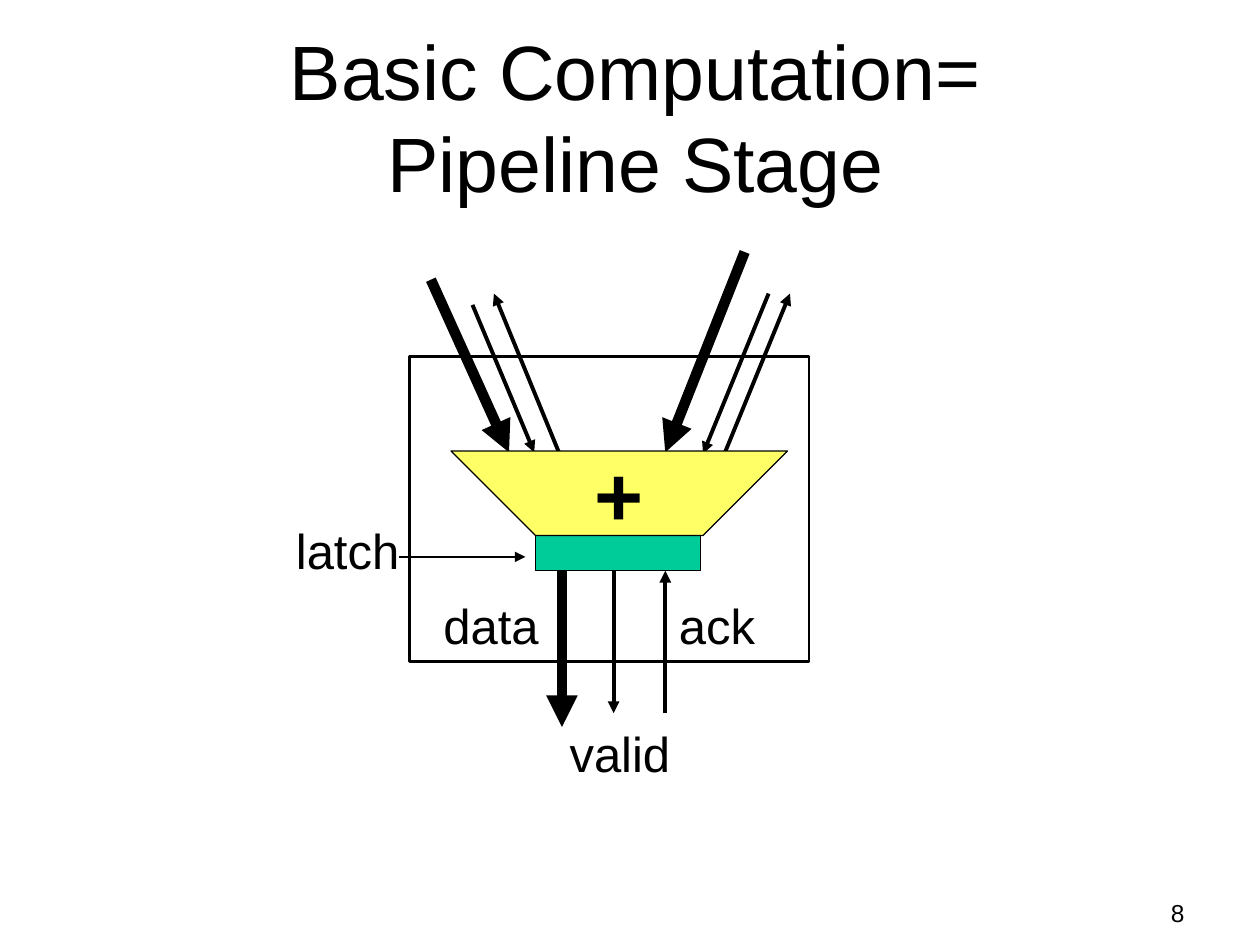
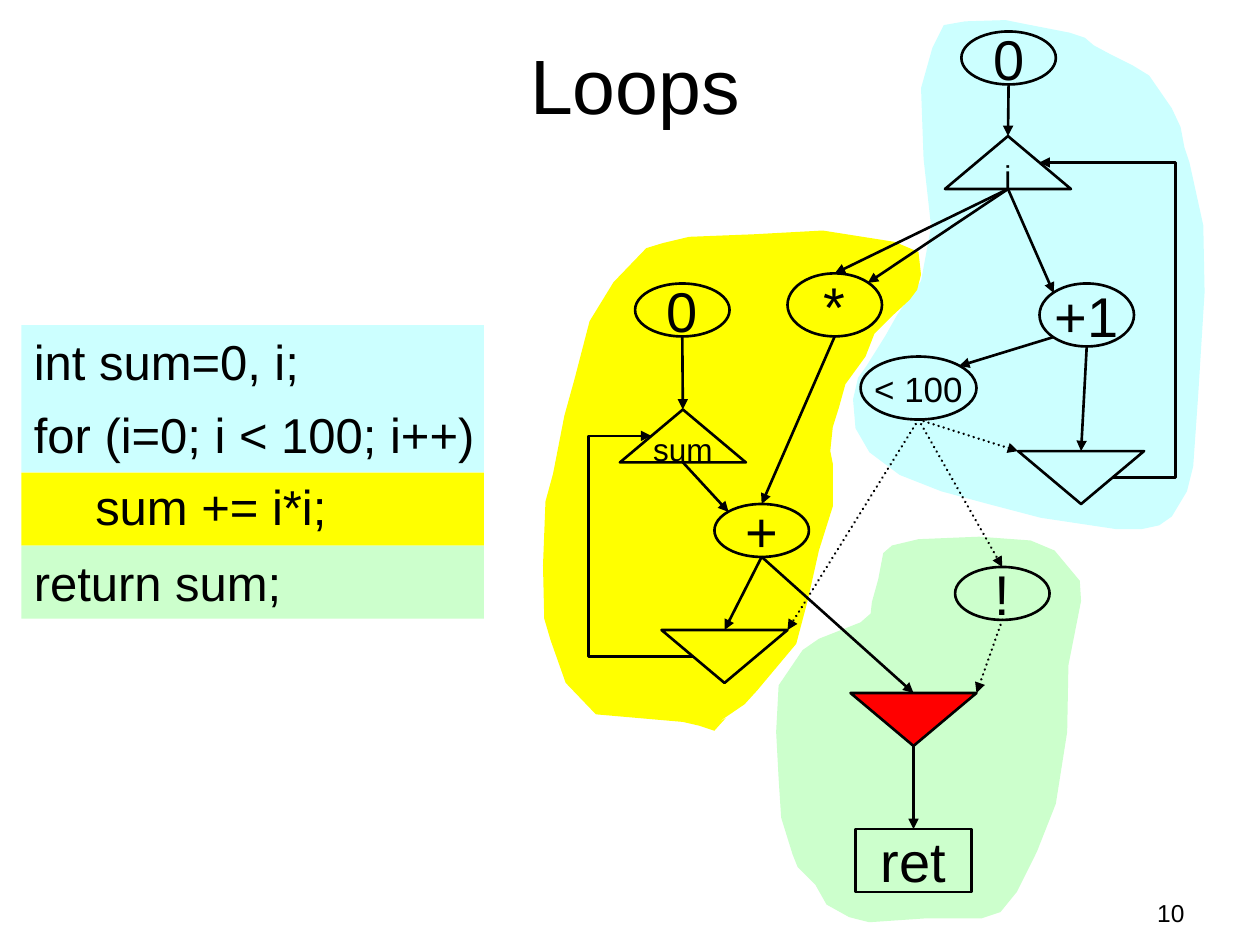
from lxml.etree import SubElement
from pptx import Presentation
from pptx.dml.color import RGBColor
from pptx.enum.dml import MSO_LINE
from pptx.enum.shapes import MSO_CONNECTOR, MSO_SHAPE
from pptx.enum.text import MSO_ANCHOR, MSO_AUTO_SIZE, PP_ALIGN
from pptx.oxml.ns import qn
from pptx.util import Emu, Pt

# Shared look: 100 px to the inch
EMU_PER_PX = 9144
FONT = "Arial"
BLACK, RED = "000000", "FF0000"
CYAN, YELLOW, GREEN = "CCFFFF", "FFFF00", "CCFFCC"
ADDER_YELLOW, LATCH_GREEN = "FFFF66", "00CC99"
LEFT, CENTER, RIGHT = PP_ALIGN.LEFT, PP_ALIGN.CENTER, PP_ALIGN.RIGHT

# Places on a node's frame where an arrow may attach, as fractions
PORTS = {
    "top": (0.5, 0), "bottom": (0.5, 1),
    "upper left": (0.15, 0.15), "upper right": (0.85, 0.15),
    "lower left": (0.15, 0.85),
    "left slope": (0.25, 0.5), "right slope": (0.75, 0.5),
    "left corner": (0, 0), "right corner": (1, 0),
}

# Outlines of the three regions of the loop graph
INDEX_REGION = [
    (749, 20), (740, 38), (731, 70), (733, 126), (739, 180), (731, 223),
    (712, 250), (703, 266), (688, 290), (681, 300), (677, 317), (679, 340),
    (690, 359), (714, 377), (747, 390), (784, 400), (826, 411), (886, 420),
    (906, 420), (920, 417), (930, 410), (942, 390), (947, 370), (951, 313),
    (956, 232), (955, 179), (944, 129), (940, 117), (937, 101), (930, 86),
    (912, 60), (899, 52), (881, 43), (868, 36), (861, 30), (849, 26),
    (813, 19), (798, 16), (766, 17),
]
SUM_REGION = [
    (569, 574), (591, 559), (601, 548), (632, 511), (641, 477), (650, 437),
    (661, 402), (661, 368), (659, 358), (661, 339), (666, 323), (671, 305),
    (687, 283), (694, 265), (709, 250), (722, 238), (728, 230), (731, 218),
    (729, 200), (710, 192), (653, 183), (598, 186), (547, 188), (526, 193),
    (513, 197), (487, 224), (468, 255), (456, 301), (448, 330), (439, 376),
    (433, 398), (431, 449), (432, 491), (437, 508), (449, 542), (473, 567),
    (542, 573), (555, 576), (567, 580), (576, 570),
]
RETURN_REGION = [
    (818, 429), (777, 426), (729, 428), (708, 433), (701, 439), (697, 460),
    (692, 478), (691, 487), (683, 494), (650, 507), (637, 516), (618, 544),
    (616, 581), (618, 618), (620, 649), (629, 678), (633, 688), (647, 702),
    (656, 718), (674, 728), (690, 732), (734, 729), (779, 729), (794, 724),
    (807, 708), (816, 690), (823, 676), (838, 638), (847, 581), (848, 528),
    (858, 477), (857, 461), (837, 437),
]

# Graph nodes: kind, frame, fill, text, text size
OVAL, TRIANGLE, BOX = MSO_SHAPE.OVAL, MSO_SHAPE.ISOSCELES_TRIANGLE, MSO_SHAPE.RECTANGLE
INVERTED = "inverted triangle"
NODES = {
    "i start": (OVAL, (763, 25, 75, 42), CYAN, "0", 32),
    "i": (TRIANGLE, (750, 108, 100, 42), CYAN, "i", 18),
    "increment": (OVAL, (825, 225, 75, 50), CYAN, "+1", 32),
    "test": (OVAL, (683, 283, 92, 50), CYAN, "< 100", 20),
    "i again": (INVERTED, (808, 358, 100, 42), CYAN, "", 0),
    "square": (OVAL, (625, 217, 75, 50), None, "*", 32),
    "sum start": (OVAL, (504, 225, 75, 42), None, "0", 32),
    "sum": (TRIANGLE, (492, 325, 100, 42), None, "sum", 18),
    "add": (OVAL, (567, 400, 75, 42), None, "+", 32),
    "sum again": (INVERTED, (525, 500, 100, 42), None, "", 0),
    "not": (OVAL, (758, 450, 75, 42), None, "!", 32),
    "exit": (INVERTED, (675, 550, 100, 42), RED, "", 0),
    "ret": (BOX, (679, 658, 92, 50), None, "ret", 32),
}
DATA_EDGES = [
    ("i start", "bottom", "i", "top"),
    ("i", "bottom", "increment", "upper left"),
    ("i", "bottom", "square", "upper right"),
    ("i", "bottom", "square", "top"),
    ("increment", "bottom", "i again", "top"),
    ("increment", "lower left", "test", "upper right"),
    ("square", "bottom", "add", "top"),
    ("sum start", "bottom", "sum", "top"),
    ("sum", "bottom", "add", "upper left"),
    ("add", "bottom", "sum again", "top"),
    ("add", "bottom", "exit", "top"),
    ("exit", "bottom", "ret", "top"),
]
CONTROL_EDGES = [
    ("test", "bottom", "i again", "left corner"),
    ("test", "bottom", "sum again", "right corner"),
    ("test", "bottom", "not", "top"),
    ("not", "bottom", "exit", "right corner"),
]
BACK_EDGES = [  # the last value is the x of the upright run
    ("i again", "right slope", "i", "right slope", 933),
    ("sum again", "left slope", "sum", "left slope", 467),
]


def px(length):
    return Emu(round(length * EMU_PER_PX))


def color(value):
    return RGBColor.from_string(value)


def write(shape, text, size, align=CENTER, anchor=MSO_ANCHOR.MIDDLE,
          wrap=False, bold=False, gap=0):
    """Put one paragraph per line of text into a shape."""
    frame = shape.text_frame
    frame.text = text
    settings = {"word_wrap": wrap, "vertical_anchor": anchor,
                "auto_size": MSO_AUTO_SIZE.NONE}
    for name, value in settings.items():
        setattr(frame, name, value)
    for index, para in enumerate(frame.paragraphs):
        para.alignment = align
        para.space_before = Pt(gap if index else 0)
        for span in para.runs:
            for name, value in {"name": FONT, "size": Pt(size), "bold": bold}.items():
                setattr(span.font, name, value)
            span.font.color.rgb = color(BLACK)


def paint(shape, fill=None, line_width=0):
    shape.shadow.inherit = False
    if fill:
        shape.fill.solid()
        shape.fill.fore_color.rgb = color(fill)
    else:
        shape.fill.background()
    if line_width:
        shape.line.color.rgb = color(BLACK)
        shape.line.width = Pt(line_width)
    else:
        shape.line.fill.background()
    return shape


def add_block(page, kind, frame, fill=None, line_width=0):
    shape = page.shapes.add_shape(kind, *map(px, frame))
    return paint(shape, fill, line_width)


def add_label(page, frame, text, size, align=LEFT, wrap=False, gap=0):
    box = page.shapes.add_textbox(*map(px, frame))
    write(box, text, size, align, MSO_ANCHOR.TOP, wrap, gap=gap)
    return box


def add_outline(page, points, fill, line_width=0):
    start, *rest = points
    builder = page.shapes.build_freeform(*start, scale=EMU_PER_PX)
    builder.add_line_segments(rest, close=True)
    return paint(builder.convert_to_shape(), fill, line_width)


def add_arrow(page, start, end, width=1.5, dotted=False, via_x=None):
    kind = MSO_CONNECTOR.STRAIGHT if via_x is None else MSO_CONNECTOR.ELBOW
    arrow = page.shapes.add_connector(kind, *map(px, (*start, *end)))
    arrow.line.color.rgb = color(BLACK)
    arrow.line.width = Pt(width)
    properties = arrow.element.spPr
    stroke = properties.find(qn("a:ln"))
    if dotted:
        arrow.line.dash_style = MSO_LINE.ROUND_DOT
        stroke.set("cap", "rnd")
    SubElement(stroke, qn("a:tailEnd"), type="triangle")
    SubElement(properties, qn("a:effectLst"))
    if via_x is not None:
        bend = round((via_x - start[0]) / (end[0] - start[0]) * 100000)
        guides = properties.find(qn("a:prstGeom")).find(qn("a:avLst"))
        SubElement(guides, qn("a:gd"), name="adj1", fmla=f"val {bend}")


def add_page(deck, title, frame, number):
    page = deck.slides.add_slide(deck.slide_layouts[5])
    holder = page.shapes.title
    for name, value in zip(("left", "top", "width", "height"), frame):
        setattr(holder, name, px(value))
    write(holder, title, 44, wrap=True)
    add_label(page, (900, 708, 50, 42), number, 14, RIGHT, wrap=True)
    return page


def port(node, side):
    left, top, width, height = NODES[node][1]
    across, down = PORTS[side]
    return left + across * width, top + down * height


def build_pipeline_stage(deck):
    page = add_page(deck, "Basic Computation=\vPipeline Stage", (75, 50, 859, 84), "8")

    # Outputs: data, valid, ack
    add_arrow(page, (446, 450), (446, 577), 6)
    add_arrow(page, (487, 450), (487, 566), 2.25)
    add_arrow(page, (528, 566), (528, 453), 2.25)

    # Inputs: data, valid and ack on either side
    for data, valid, ack in (
        (((342, 222), (404, 359)), ((375, 242), (424, 359)), ((444, 360), (392, 233))),
        (((591, 200), (528, 359)), ((610, 233), (558, 360)), ((575, 360), (627, 233))),
    ):
        add_arrow(page, *data, 6)
        add_arrow(page, *valid, 2.25)
        add_arrow(page, *ack, 2.25)

    # Stage frame, latch and adder
    add_block(page, BOX, (425, 425, 131, 28), LATCH_GREEN, 0.75)
    add_block(page, BOX, (325, 283, 317, 242), None, 1.5)
    trapezoid = [(358, 358), (625, 358), (558, 425), (425, 425)]
    adder = add_outline(page, trapezoid, ADDER_YELLOW, 0.75)
    write(adder, "+", 48, bold=True)

    # Names of the parts
    add_label(page, (342, 468, 95, 57), "data", 28)
    add_label(page, (442, 569, 100, 57), "valid", 28, CENTER)
    add_label(page, (529, 468, 80, 57), "ack", 28)
    add_label(page, (225, 408, 102, 57), "latch", 28)
    add_arrow(page, (317, 442), (417, 442), 0.75)


def build_loops(deck):
    page = add_page(deck, "Loops", (58, 25, 892, 83), "10")

    # Coloured regions, each with its band behind the code
    for region, fill, top, height in (
        (INDEX_REGION, CYAN, 258, 117),
        (SUM_REGION, YELLOW, 375, 58),
        (RETURN_REGION, GREEN, 433, 58),
    ):
        add_outline(page, region, fill)
        band = add_block(page, BOX, (17, top, 367, height), fill)
    write(band, "return sum;", 28, LEFT)

    # Code with a hanging indent that the tab reaches
    code = "int sum=0, i;\nfor (i=0; i < 100; i++)\n\t sum += i*i;"
    box = add_label(page, (17, 258, 408, 175), code, 28, wrap=True, gap=8)
    for properties in box.element.iter(qn("a:pPr")):
        properties.set("marL", str(px(38)))
        properties.set("indent", str(px(-38)))

    # Graph nodes
    for kind, frame, fill, text, size in NODES.values():
        inverted = kind == INVERTED
        node = add_block(page, TRIANGLE if inverted else kind, frame, fill, 1.5)
        if inverted:
            node.rotation = 180
        if text:
            write(node, text, size)

    # Graph edges
    for edges, dotted in ((DATA_EDGES, False), (CONTROL_EDGES, True)):
        for source, leave, target, arrive in edges:
            add_arrow(page, port(source, leave), port(target, arrive), dotted=dotted)
    for source, leave, target, arrive, via_x in BACK_EDGES:
        add_arrow(page, port(source, leave), port(target, arrive), via_x=via_x)


def main():
    deck = Presentation()
    deck.slide_width, deck.slide_height = px(1000), px(750)
    build_pipeline_stage(deck)
    build_loops(deck)
    deck.save("out.pptx")


if __name__ == "__main__":
    main()
